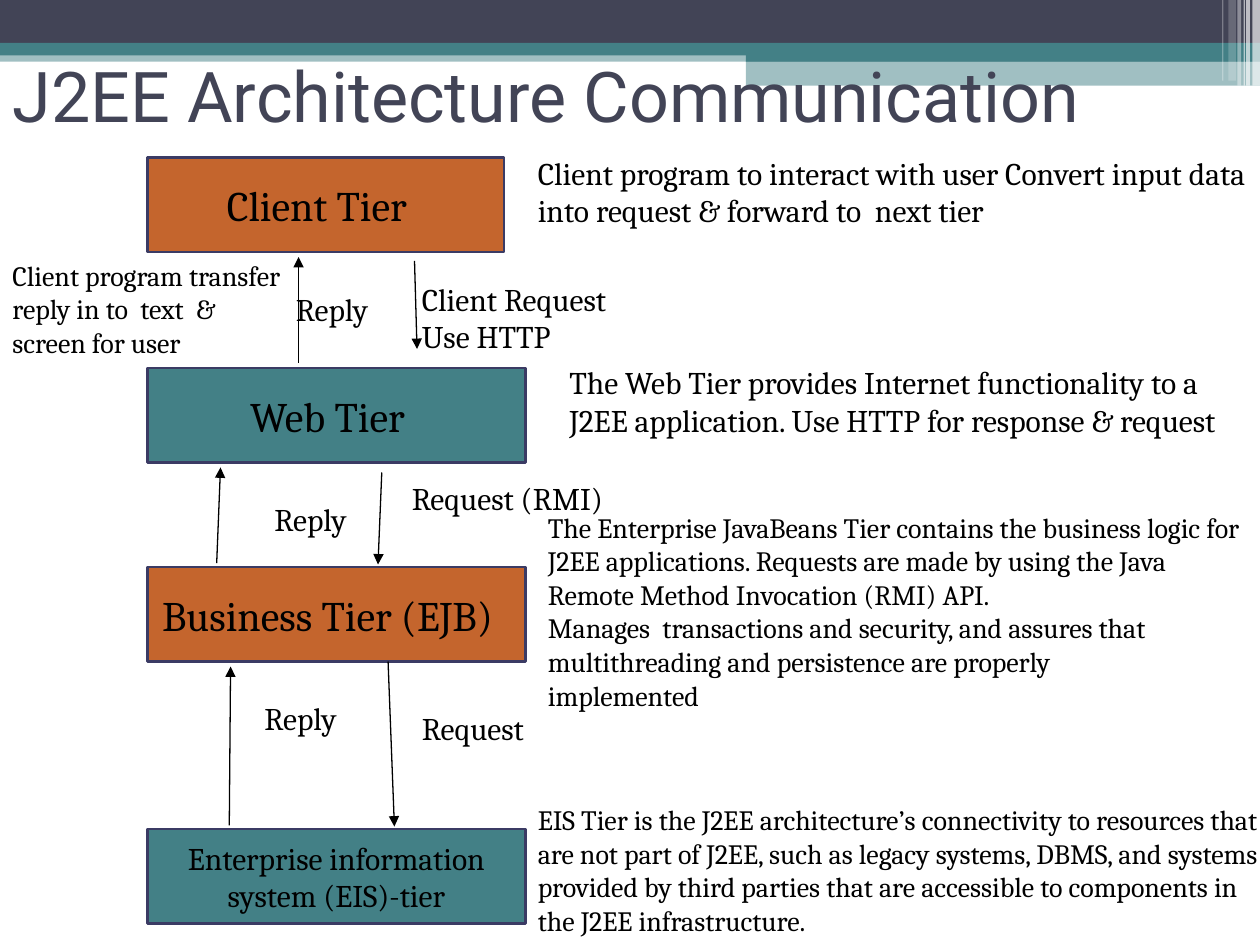
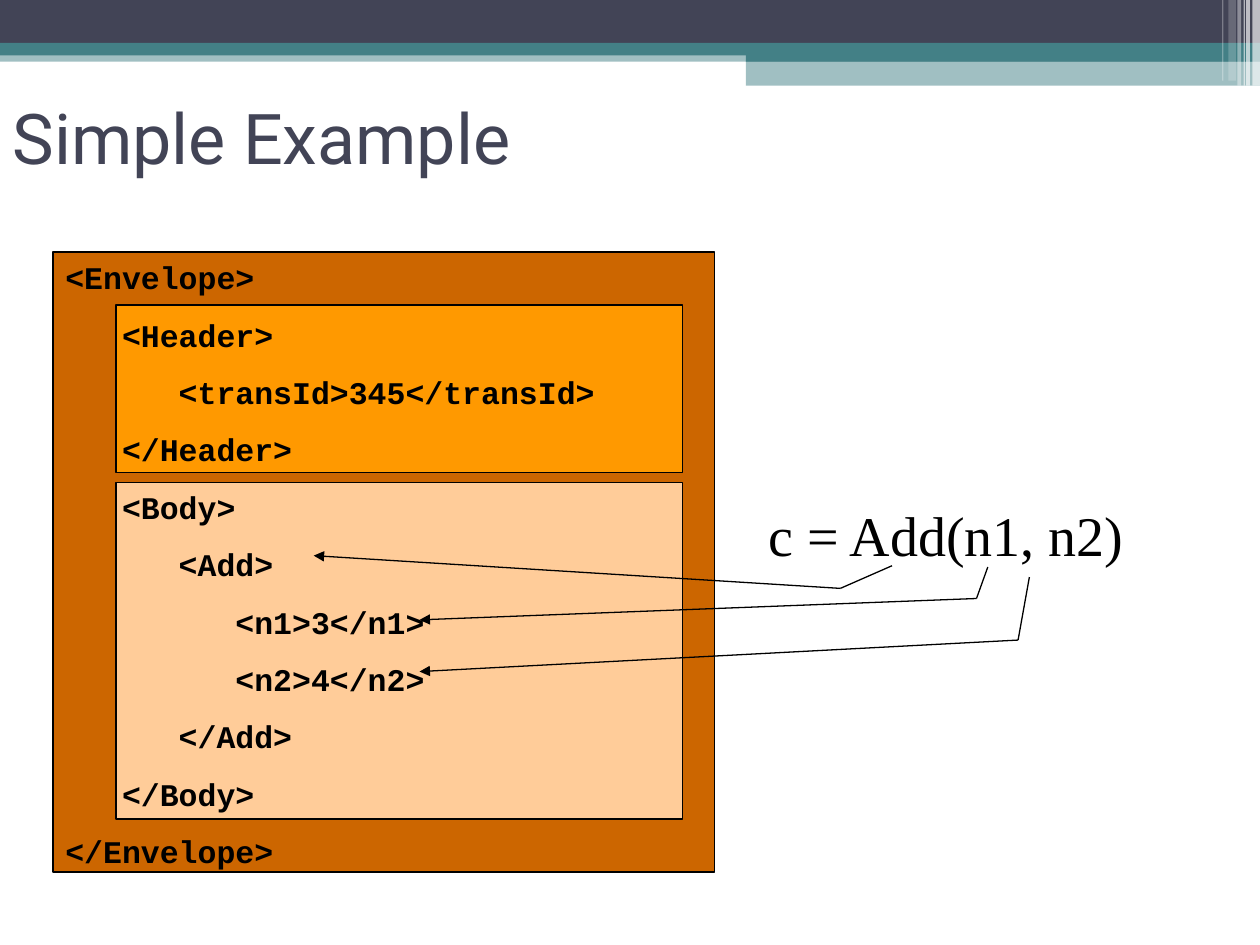
from dataclasses import dataclass
from typing import NamedTuple

from lxml.etree import SubElement
from pptx import Presentation
from pptx.dml.color import RGBColor
from pptx.enum.shapes import MSO_CONNECTOR, MSO_SHAPE
from pptx.enum.text import MSO_ANCHOR, MSO_AUTO_SIZE, PP_ALIGN
from pptx.oxml.ns import qn
from pptx.util import Inches, Pt


@dataclass(frozen=True)
class Theme:
    ink: str = "000000"
    white: str = "FFFFFF"
    slate: str = "424456"
    teal: str = "438086"
    rust: str = "C4652D"
    edge: str = "3B3B64"
    outer: str = "CC6600"
    header: str = "FF9900"
    body: str = "FFCC99"
    head: str = "Roboto"
    serif: str = "Cambria"
    code: str = "Courier New"
    call: str = "Times New Roman"
    title: int = 40
    large: int = 32
    tier: int = 24
    label: int = 18
    small: int = 16
    thin: float = 0.75
    thick: float = 1.5


T = Theme()


class Area(NamedTuple):
    left: float
    top: float
    width: float
    height: float


class Band(NamedTuple):
    area: Area
    color: str
    alpha: int = 100


class Tier(NamedTuple):
    text: str
    area: Area
    color: str
    size: int = T.tier
    pad: float = 0.24  # right inset, shifts the centred text to the left


class Note(NamedTuple):
    lines: list[str]
    area: Area
    size: int = T.label


class Point(NamedTuple):
    x: float
    y: float


class Bend(NamedTuple):
    start: Point
    elbow: Point
    tip: Point


class Line(NamedTuple):
    text: str
    level: int = 0


BANDS = [
    Band(Area(0, 0.4, 10, 0.09), T.teal, 50),
    Band(Area(0, 0, 10, 0.34), T.slate),
    Band(Area(0, 0.34, 10, 0.1), T.teal),
    Band(Area(5.92, 0.39, 4.08, 0.1), T.teal),
    Band(Area(5.92, 0.48, 4.08, 0.2), T.teal, 50),
    Band(Area(9.94, 0, 0.06, 0.68), T.white, 65),
    Band(Area(9.89, 0, 0.03, 0.68), T.white, 65),
    Band(Area(9.87, 0, 0.01, 0.68), T.white, 60),
    Band(Area(9.82, 0, 0.03, 0.68), T.white, 40),
    Band(Area(9.75, 0, 0.06, 0.64), T.white, 20),
    Band(Area(9.7, 0, 0.01, 0.64), T.white, 30),
]

TIERS = [
    Tier("Client Tier", Area(1.17, 1.25, 2.83, 0.75), T.rust),
    Tier("Web Tier", Area(1.17, 2.92, 3, 0.75), T.teal),
    Tier("Business Tier (EJB)", Area(1.17, 4.5, 3, 0.75), T.rust),
    Tier("Enterprise information system (EIS)-tier",
         Area(1.17, 6.58, 3, 0.75), T.teal, T.label, 0.1),
]

NOTES = [
    Note(["Client program to interact with user Convert input data into "
          "request & forward to  next tier"], Area(4.17, 1.17, 5.83, 0.7)),
    Note(["Client Request", "Use HTTP"], Area(3.25, 2.17, 1.83, 1)),
    Note(["Client program transfer reply in to  text  & screen for user"],
         Area(0, 2, 2.42, 1.17), T.small),
    Note(["The Web Tier provides Internet functionality to a J2EE "
          "application. Use HTTP for response & request"],
         Area(4.42, 2.83, 5.58, 1)),
    Note(["Request (RMI)"], Area(3.17, 3.75, 1.83, 0.7)),
    Note(["The Enterprise JavaBeans Tier contains the business logic for "
          "J2EE applications. Requests are made by using the Java Remote "
          "Method Invocation (RMI) API.",
          "Manages  transactions and security, and assures that "
          "multithreading and persistence are properly",
          "implemented"], Area(4.25, 4, 5.75, 1.7), T.small),
    Note(["Request"], Area(3.25, 5.58, 1.58, 0.4)),
    Note(["EIS Tier is the J2EE architecture’s connectivity to resources "
          "that are not part of J2EE, such as legacy systems, DBMS, and "
          "systems provided by third parties that are accessible to "
          "components in the J2EE infrastructure."],
         Area(4.17, 6.32, 6, 1.44), T.small),
] + [Note(["Reply"], Area(x, y, 0.92, 0.4))
     for x, y in [(2.25, 2.25), (2.08, 3.92), (2, 5.5)]]

FLOWS = [
    (Point(3.29, 2.07), Point(3.31, 2.77)),
    (Point(2.37, 2.88), Point(2.37, 2.04)),
    (Point(3.03, 3.75), Point(3, 4.48)),
    (Point(1.72, 4.47), Point(1.75, 3.71)),
    (Point(3.08, 5.25), Point(3.13, 6.56)),
    (Point(1.82, 6.55), Point(1.83, 5.29)),
]

FRAMES = [
    Band(Area(0.42, 2, 5.25, 4.92), T.outer),
    Band(Area(0.92, 2.42, 4.5, 1.33), T.header),
    Band(Area(0.92, 3.83, 4.5, 2.67), T.body),
]

CODE = [
    Line("<Envelope>"),
    Line("<Header>", 1),
    Line("<transId>345</transId>", 2),
    Line("</Header>", 1),
    Line("<Body>", 1),
    Line("<Add>", 2),
    Line("<n1>3</n1>", 3),
    Line("<n2>4</n2>", 3),
    Line("</Add>", 2),
    Line("</Body>", 1),
    Line("</Envelope>"),
]
STEP = 0.45  # three code letters

BENDS = [
    Bend(Point(7.08, 4.49), Point(6.67, 4.67), Point(2.49, 4.41)),
    Bend(Point(7.84, 4.5), Point(7.75, 4.75), Point(3.33, 4.92)),
    Bend(Point(8.17, 4.58), Point(8.08, 5.08), Point(3.33, 5.33)),
]


def rgb(code: str) -> RGBColor:
    return RGBColor.from_string(code)


def style(para, face: str, size: int, color: str = T.ink, bold: bool = False) -> None:
    font = para.font
    font.name, font.size, font.bold = face, Pt(size), bold
    font.color.rgb = rgb(color)


def block(slide, area: Area, color: str, edge: str = "", width: float = T.thin):
    shape = slide.shapes.add_shape(MSO_SHAPE.RECTANGLE, *map(Inches, area))
    shape.shadow.inherit = False
    shape.fill.solid()
    shape.fill.fore_color.rgb = rgb(color)
    if edge:
        shape.line.color.rgb = rgb(edge)
        shape.line.width = Pt(width)
    else:
        shape.line.fill.background()
    return shape


def dress(slide) -> None:
    """Draw the bands and move them to the slide's layout."""
    tree = slide.slide_layout.shapes.element
    for i, band in enumerate(BANDS):
        shape = block(slide, band.area, band.color)
        if band.alpha < 100:
            tint = shape.element.find(".//" + qn("a:srgbClr"))
            SubElement(tint, qn("a:alpha"), val=str(band.alpha * 1000))
        shape.element.nvSpPr.cNvPr.set("id", str(100 + i))
        tree.insert(2 + i, shape.element)


def head(slide, text: str, area: Area) -> None:
    title = slide.shapes.title
    title.left, title.top, title.width, title.height = map(Inches, area)
    frame = title.text_frame
    frame.text = text
    frame.auto_size = MSO_AUTO_SIZE.NONE
    frame.vertical_anchor = MSO_ANCHOR.MIDDLE
    para = frame.paragraphs[0]
    para.alignment = PP_ALIGN.LEFT
    style(para, T.head, T.title, T.slate)


def write(slide, lines: list[str], area: Area, face: str, size: int, bold: bool = False):
    """Add a text box and return its paragraphs."""
    frame = slide.shapes.add_textbox(*map(Inches, area)).text_frame
    frame.word_wrap = True
    frame.auto_size = MSO_AUTO_SIZE.SHAPE_TO_FIT_TEXT
    frame.text = "\n".join(lines)
    for para in frame.paragraphs:
        style(para, face, size, bold=bold)
    return frame.paragraphs


def draw(slide, start: Point, end: Point, arrow: bool = True) -> None:
    line = slide.shapes.add_connector(
        MSO_CONNECTOR.STRAIGHT, *map(Inches, (*start, *end)))
    line.line.color.rgb = rgb(T.ink)
    line.line.width = Pt(T.thin)
    if arrow:
        SubElement(line.line._get_or_add_ln(), qn("a:tailEnd"), type="triangle")
    SubElement(line.element.spPr, qn("a:effectLst"))


def stack(slide, tier: Tier) -> None:
    frame = block(slide, tier.area, tier.color, T.edge, T.thick).text_frame
    frame.text = tier.text
    frame.word_wrap = True
    frame.margin_right = Inches(tier.pad)
    frame.vertical_anchor = MSO_ANCHOR.MIDDLE
    para = frame.paragraphs[0]
    para.alignment = PP_ALIGN.CENTER
    style(para, T.serif, tier.size)


def tiers(slide) -> None:
    head(slide, "J2EE Architecture Communication", Area(0, 0.03, 9, 1.44))
    for tier in TIERS:
        stack(slide, tier)
    for note in NOTES:
        write(slide, note.lines, note.area, T.serif, note.size)
    for start, end in FLOWS:
        draw(slide, start, end)


def sample(slide) -> None:
    head(slide, "Simple Example", Area(0, 0.5, 9, 1.17))
    for frame in FRAMES:
        block(slide, frame.area, frame.color, T.ink)
    paras = write(slide, [line.text for line in CODE],
                  Area(0.42, 2, 8.08, 4.97), T.code, T.label, bold=True)
    for para, line in zip(paras, CODE):
        para.space_before = Pt(11.2)
        props = para._p.get_or_add_pPr()
        props.set("marL", str(Inches(STEP * line.level)))
        props.set("indent", "0")
    call = write(slide, ["c = Add(n1, n2)"], Area(6, 3.92, 3.08, 0.64),
                 T.call, T.large)
    call[0].space_before = Pt(20)
    for bend in BENDS:
        draw(slide, bend.start, bend.elbow, arrow=False)
        draw(slide, bend.elbow, bend.tip)


def main() -> None:
    deck = Presentation()
    deck.slide_width, deck.slide_height = Inches(10), Inches(7.5)
    layout = deck.slide_layouts.get_by_name("Title Only")
    first, second = (deck.slides.add_slide(layout) for _ in range(2))
    dress(first)
    tiers(first)
    sample(second)
    deck.save("out.pptx")


if __name__ == "__main__":
    main()
